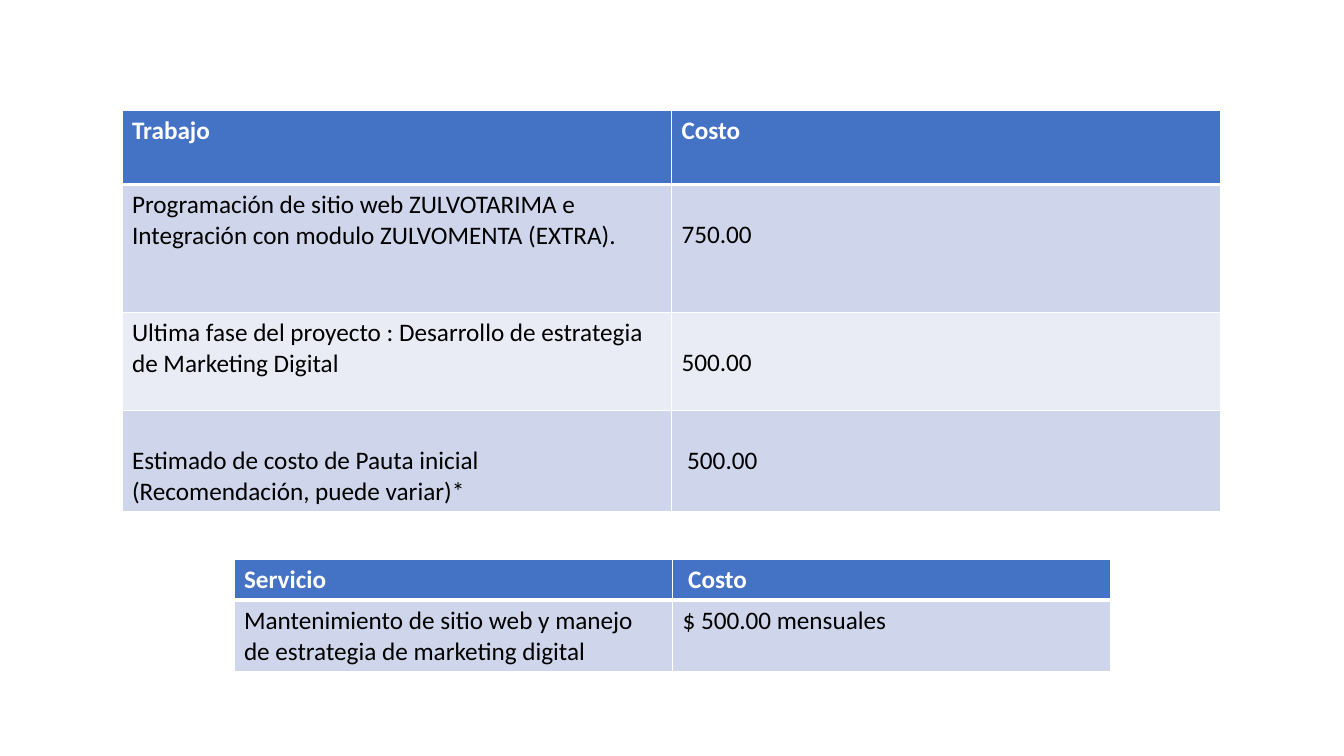
from pptx import Presentation
from pptx.dml.color import RGBColor
from pptx.oxml import parse_xml
from pptx.oxml.ns import nsdecls
from pptx.util import Inches, Pt

WHITE = RGBColor(0xFF, 0xFF, 0xFF)
BLACK = RGBColor(0, 0, 0)
BLUE = RGBColor(0x44, 0x72, 0xC4)
BANDS = [RGBColor(0xCF, 0xD5, 0xEA), RGBColor(0xE9, 0xEB, 0xF5)]
PAD = 0.05
LINE = 0.3

JOBS = [
    ("Trabajo", "Costo"),
    ("Programación de sitio web ZULVOTARIMA e "
     "Integración con modulo ZULVOMENTA (EXTRA).", "750.00"),
    ("Ultima fase del proyecto : Desarrollo de estrategia "
     "de Marketing Digital", "500.00"),
    ("Estimado de costo de Pauta inicial "
     "(Recomendación, puede variar)*", " 500.00"),
]
CARE = [
    ("Servicio", " Costo"),
    ("Mantenimiento de sitio web y manejo de estrategia "
     "de marketing digital", "$ 500.00 mensuales"),
]
LOWERED = {(1, 1), (2, 1), (3, 0), (3, 1)}


def add_edges(cell, row):
    props = cell._tc.get_or_add_tcPr()
    widths = {"L": 1, "R": 1, "T": 3 if row == 1 else 1, "B": 3 if row == 0 else 1}
    for side, width in widths.items():
        props.append(parse_xml(
            f'<a:ln{side} {nsdecls("a")} w="{Pt(width)}"><a:solidFill>'
            f'<a:srgbClr val="{WHITE}"/></a:solidFill></a:ln{side}>'))


def fill_cell(cell, text, row, drop):
    head = row == 0
    add_edges(cell, row)
    cell.fill.solid()
    cell.fill.fore_color.rgb = BLUE if head else BANDS[(row - 1) % 2]
    cell.margin_top = Inches(PAD + drop)
    cell.text_frame.text = text
    font = cell.text_frame.paragraphs[0].runs[0].font
    font.name = "Calibri"
    font.size = Pt(18)
    font.bold = head
    font.color.rgb = WHITE if head else BLACK


def add_grid(slide, data, left, top, width, heights, lowered=()):
    frame = slide.shapes.add_table(
        len(data), 2, Inches(left), Inches(top),
        Inches(width), Inches(sum(heights)))
    table = frame.table
    for row, (texts, height) in enumerate(zip(data, heights)):
        table.rows[row].height = Inches(height)
        for col, text in enumerate(texts):
            drop = LINE if (row, col) in lowered else 0
            fill_cell(table.cell(row, col), text, row, drop)


def main():
    deck = Presentation()
    deck.slide_width = Inches(13.33)
    deck.slide_height = Inches(7.5)
    slide = deck.slides.add_slide(deck.slide_layouts[6])
    add_grid(slide, JOBS, 1.21, 1.1, 10.9, [0.73, 1.27, 0.97, 1.01], LOWERED)
    add_grid(slide, CARE, 2.32, 5.55, 8.7, [0.4, 0.71])
    deck.save("out.pptx")


main()
